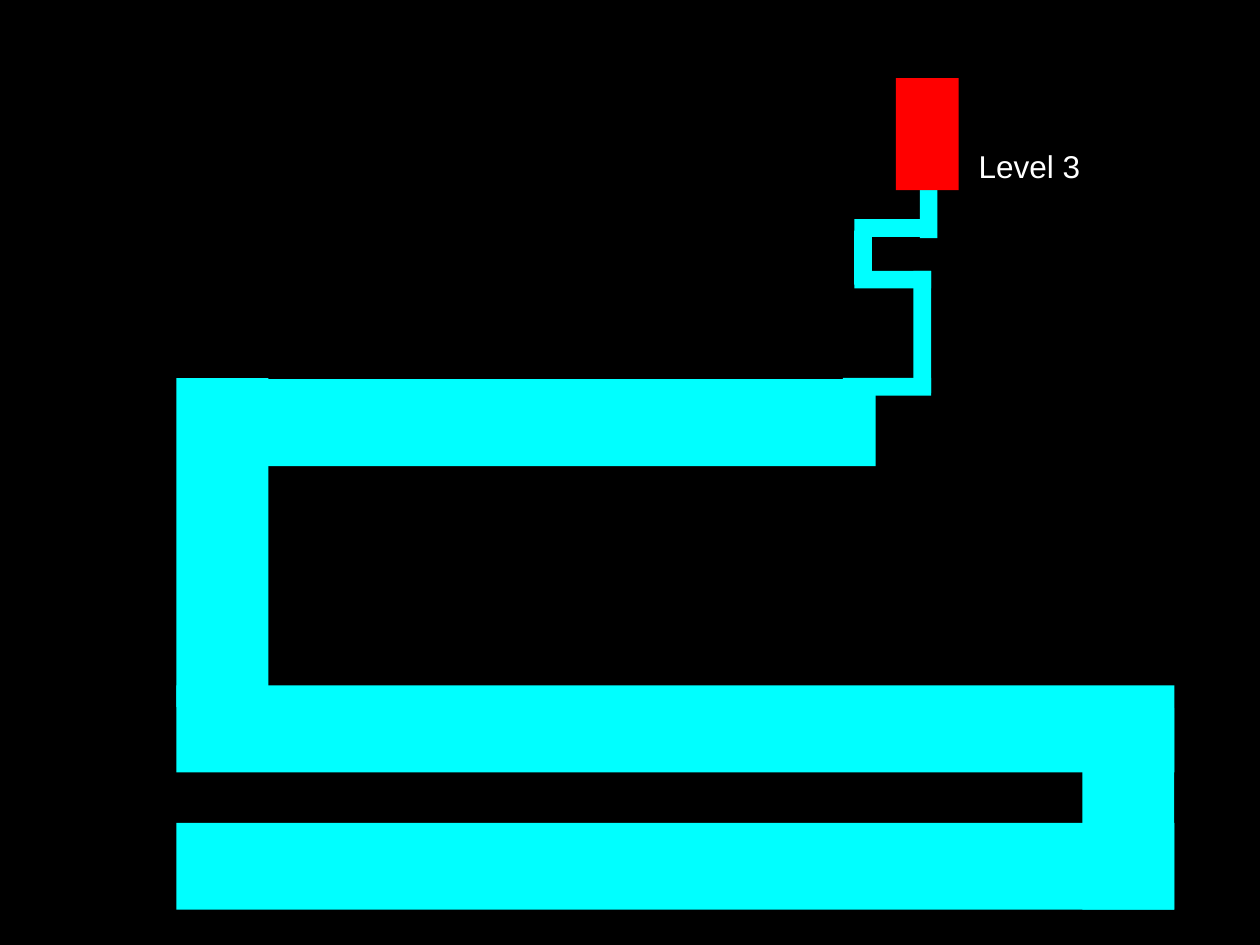
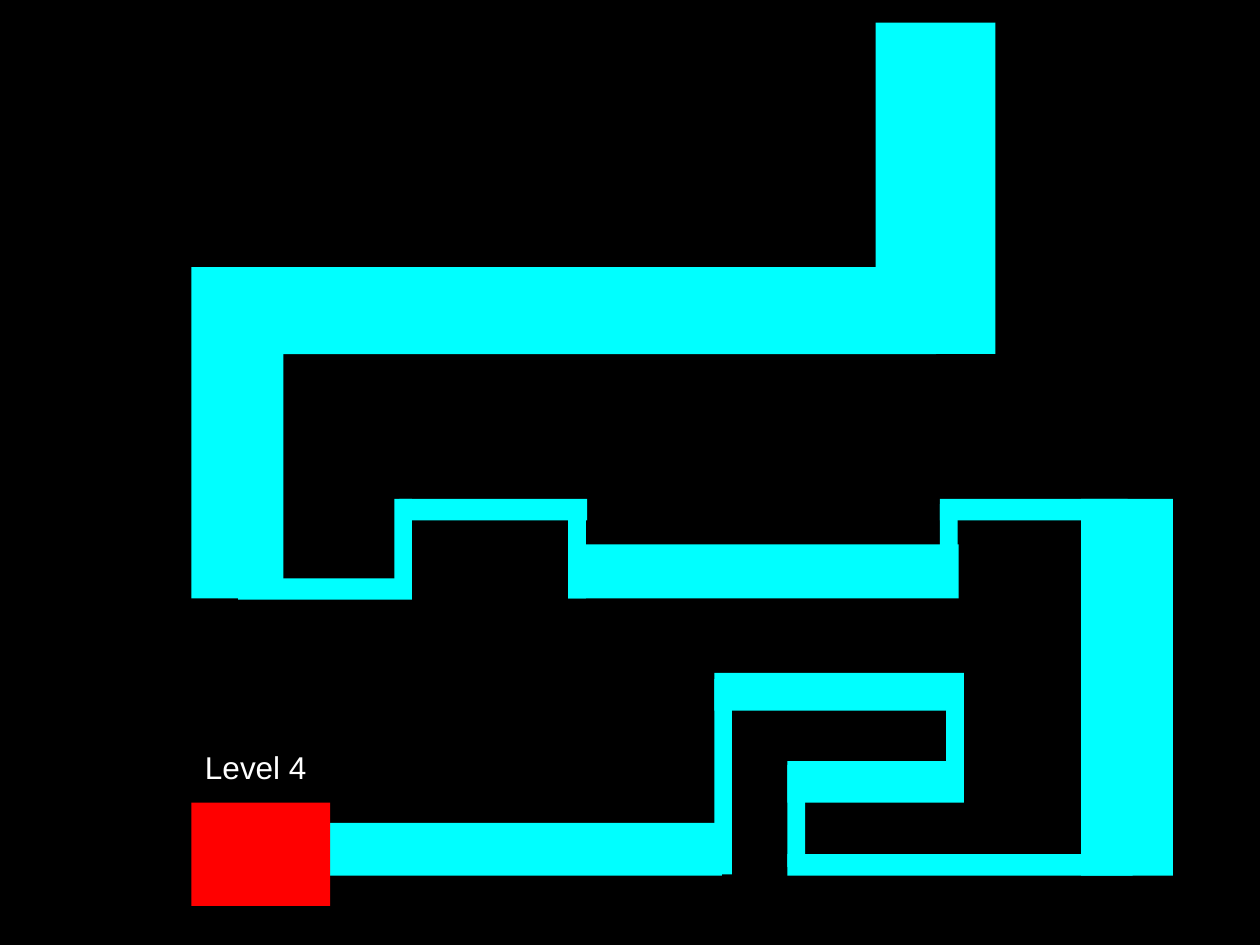
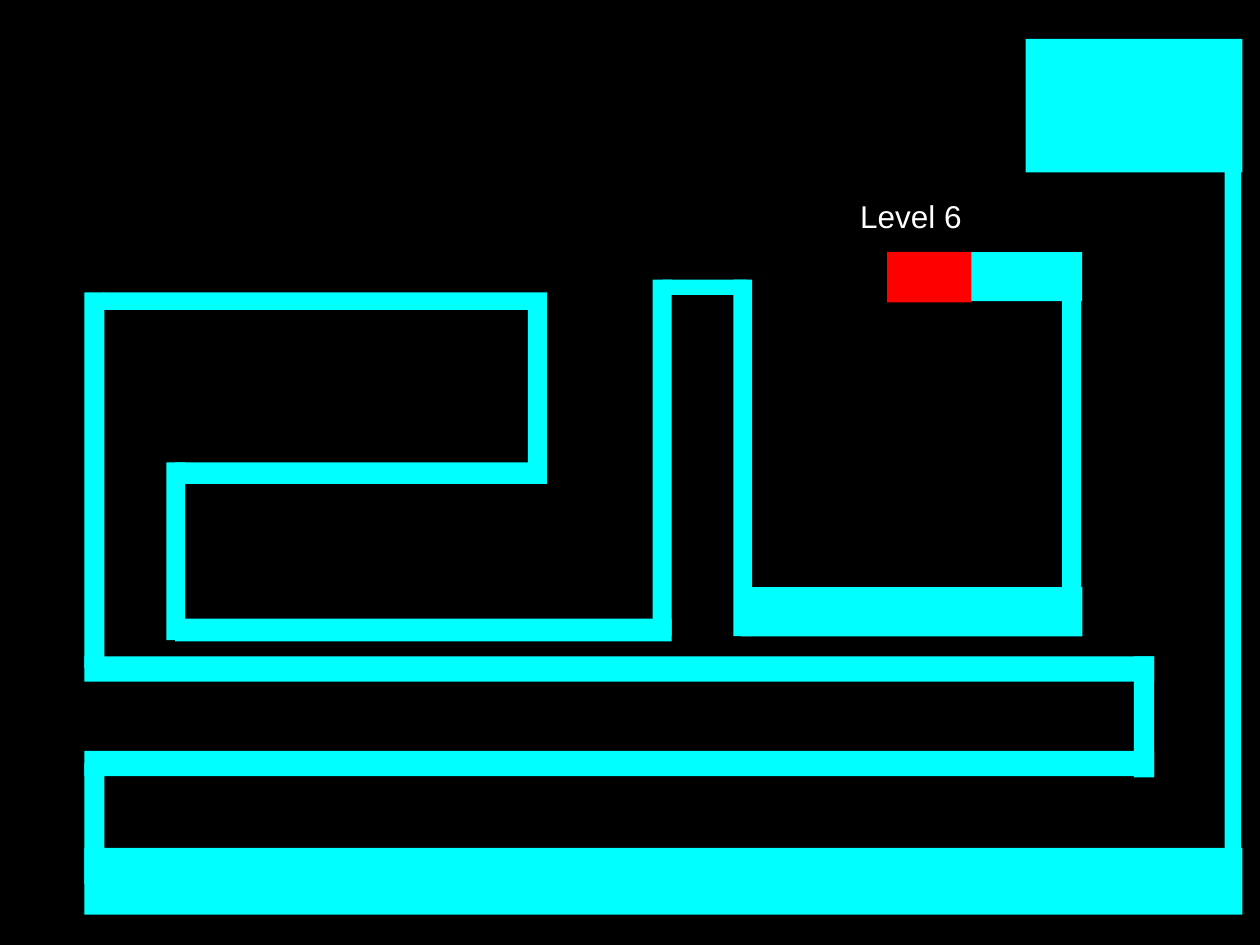
from dataclasses import dataclass

from pptx import Presentation
from pptx.dml.color import RGBColor
from pptx.enum.shapes import MSO_SHAPE
from pptx.enum.text import MSO_ANCHOR, MSO_AUTO_SIZE, PP_ALIGN
from pptx.util import Inches, Pt

RECTANGLE = MSO_SHAPE.RECTANGLE
TOP = MSO_ANCHOR.TOP
GROW = MSO_AUTO_SIZE.SHAPE_TO_FIT_TEXT
CENTER = PP_ALIGN.CENTER

COLORS = {"wall": "000000", "path": "00FFFF", "goal": "FF0000", "label": "FFFFFF"}
FONT = "Arial"
COLUMNS, ROWS = 100, 75
CELL = Inches(10) // COLUMNS
LABEL_SIZE = (10.2, 4)
TITLE_ONLY = 5


@dataclass
class Level:
    """A maze in grid cells, with its corridors grouped by thickness."""
    name: str
    label: tuple
    goal: tuple
    halls: dict
    shafts: dict
    rooms: tuple = ()


LEVELS = [
    Level(
        name="Level 3",
        label=(76.6, 11.2),
        goal=(71.1, 6.2, 5, 8.9),
        halls={
            6.9: [(14, 54.4, 79.2), (14, 65.3, 79.2), (14.1, 30.1, 55.4)],
            1.4: [(66.9, 30, 7), (67.8, 21.5, 6.1), (67.8, 17.4, 6.1)],
        },
        shafts={
            7.3: [(14, 30, 26.1), (85.9, 56.2, 16)],
            1.4: [(72.5, 21.5, 9.7), (67.8, 18.3, 4.3), (73, 14.5, 4.4)],
        },
    ),
    Level(
        name="Level 4",
        label=(15.2, 58.9),
        goal=(15.2, 63.7, 11, 8.2),
        halls={
            6.9: [(18.9, 21.2, 55.4)],
            4.3: [(45.1, 43.2, 31)],
            4.2: [(24.4, 65.3, 32.9)],
            3.3: [(62.5, 60.4, 14)],
            3: [(56.7, 53.4, 19.8)],
            1.7: [(18.9, 45.9, 13.8), (31.7, 39.6, 14.9),
                  (74.6, 39.6, 14.9), (62.5, 67.8, 27.4)],
        },
        shafts={
            9.5: [(69.5, 1.8, 26.3)],
            7.3: [(15.2, 21.2, 26.3), (85.8, 39.6, 29.9)],
            1.4: [(31.3, 39.6, 7.1), (45.1, 40.4, 7.1), (74.6, 40, 7.1),
                  (62.5, 60.7, 8.1), (75.1, 53.7, 8.1), (56.7, 53.9, 15.5)],
        },
    ),
    Level(
        name="Level 6",
        label=(67.2, 15.1),
        goal=(70.4, 20, 6.7, 4),
        rooms=((81.4, 3.1, 17.2, 10.6),),
        halls={
            5.3: [(6.7, 67.3, 91.9)],
            3.9: [(58.8, 46.6, 27.1), (70.6, 20, 15.3)],
            2: [(6.7, 59.6, 84.9), (6.7, 52.1, 84.9)],
            1.8: [(13.9, 49.1, 39.4)],
            1.7: [(13.9, 36.7, 29.5)],
            1.4: [(8.2, 23.2, 35.2)],
            1.2: [(52.6, 22.2, 6.7)],
        },
        shafts={
            1.3: [(97.2, 7, 61.8)],
            1.6: [(6.7, 60.6, 9.6), (90, 52.1, 9.6), (6.7, 23.2, 29.8)],
            1.5: [(41.9, 23.7, 14.1), (13.2, 36.7, 14.1), (51.8, 22.2, 28.3),
                  (58.2, 22.2, 28.3), (84.3, 20.2, 28.3)],
        },
    ),
]


def cells(*counts):
    """Turn grid cells into slide lengths."""
    return [round(count * CELL) for count in counts]


def color(name):
    """Look up a palette colour."""
    return RGBColor.from_string(COLORS[name])


def add_block(slide, box, color_name):
    """Draw one flat rectangle given in grid cells."""
    block = slide.shapes.add_shape(RECTANGLE, *cells(*box))
    block.shadow.inherit = False
    block.fill.solid()
    block.fill.fore_color.rgb = color(color_name)
    block.line.fill.background()


def add_corridors(slide, level):
    """Draw the rooms, upright shafts and level halls of a maze."""
    for room in level.rooms:
        add_block(slide, room, "path")
    for thickness, shafts in level.shafts.items():
        for left, top, length in shafts:
            add_block(slide, (left, top, thickness, length), "path")
    for thickness, halls in level.halls.items():
        for left, top, length in halls:
            add_block(slide, (left, top, length, thickness), "path")


def set_label(slide, level):
    """Place the level name in the title placeholder."""
    title = slide.shapes.title
    title.left, title.top, title.width, title.height = cells(*level.label, *LABEL_SIZE)
    frame = title.text_frame
    frame.word_wrap = False
    frame.auto_size = GROW
    frame.vertical_anchor = TOP
    paragraph = frame.paragraphs[0]
    paragraph.alignment = CENTER
    run = paragraph.add_run()
    run.text = level.name
    run.font.name = FONT
    run.font.size = Pt(18)
    run.font.color.rgb = color("label")


def add_level(presentation, level):
    """Add the slide of one level."""
    slide = presentation.slides.add_slide(presentation.slide_layouts[TITLE_ONLY])
    set_label(slide, level)
    add_corridors(slide, level)
    add_block(slide, level.goal, "goal")


def main():
    """Build the maze slides and save them."""
    presentation = Presentation()
    presentation.slide_width, presentation.slide_height = cells(COLUMNS, ROWS)
    background = presentation.slide_master.background.fill
    background.solid()
    background.fore_color.rgb = color("wall")
    for level in LEVELS:
        add_level(presentation, level)
    presentation.save("out.pptx")


if __name__ == "__main__":
    main()
